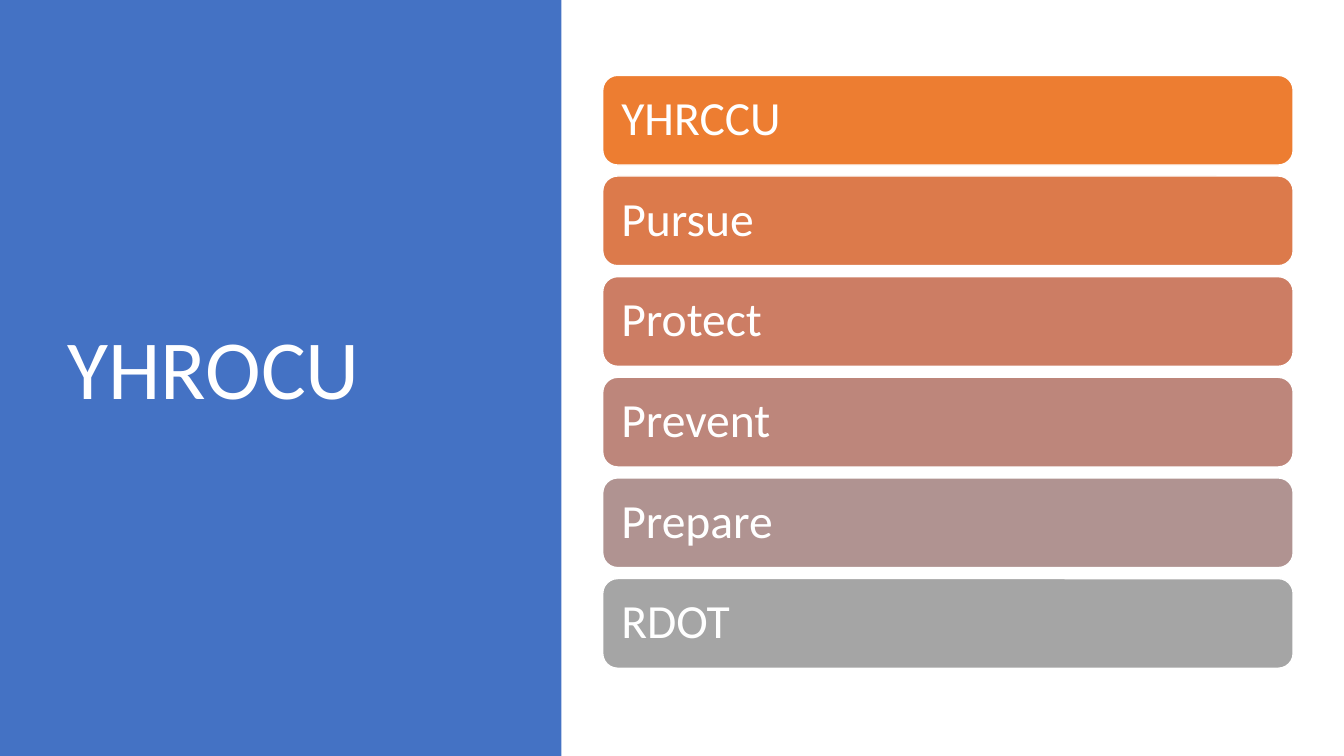
from dataclasses import dataclass

from pptx import Presentation
from pptx.dml.color import RGBColor
from pptx.enum.shapes import MSO_SHAPE
from pptx.enum.text import MSO_ANCHOR, PP_ALIGN
from pptx.util import Cm, Pt

RECT = MSO_SHAPE.RECTANGLE
ROUND_RECT = MSO_SHAPE.ROUNDED_RECTANGLE
MIDDLE = MSO_ANCHOR.MIDDLE
LEFT = PP_ALIGN.LEFT


@dataclass(frozen=True)
class Theme:
    font: str = "Calibri"
    title_size: int = 60
    bar_size: int = 34
    line_width: int = 1
    panel: str = "4472C4"
    white: str = "FFFFFF"
    bars: tuple = ("ED7D31", "DC7A4B", "CC7D64", "BD867B", "B09391", "A5A5A5")


THEME = Theme()
TITLE = "YHROCU"
TOPICS = ("YHRCCU", "Pursue", "Protect", "Prevent", "Prepare", "RDOT")


def rgb(color):
    return RGBColor.from_string(color)


def set_text(sp, text, size, inset):
    tf = sp.text_frame
    tf.word_wrap = True
    tf.vertical_anchor = MIDDLE
    tf.margin_left = tf.margin_right = inset
    p = tf.paragraphs[0]
    p.text = text
    p.alignment = LEFT
    p.line_spacing = 0.9
    p.font.name = THEME.font
    p.font.size = Pt(size)
    p.font.color.rgb = rgb(THEME.white)


def add_block(s, kind, box, color):
    sp = s.shapes.add_shape(kind, *box)
    sp.shadow.inherit = False
    sp.fill.solid()
    sp.fill.fore_color.rgb = rgb(color)
    return sp


def add_title_panel(s, left, top, width, height):
    panel = add_block(s, RECT, (left, top, width, height), THEME.panel)
    panel.line.fill.background()
    title = s.shapes.add_textbox(
        left + Cm(1.45), top + Cm(1.73), width - Cm(3.58), height - Cm(3.76)
    )
    set_text(title, TITLE, THEME.title_size, Cm(0.25))


def add_topic_bars(s, left, top, width, height):
    bar_height = Cm(2.26)
    pitch = (height - bar_height) / (len(TOPICS) - 1)
    for i, (topic, color) in enumerate(zip(TOPICS, THEME.bars)):
        box = (left, round(top + i * pitch), width, bar_height)
        bar = add_block(s, ROUND_RECT, box, color)
        bar.line.color.rgb = rgb(THEME.white)
        bar.line.width = Pt(THEME.line_width)
        set_text(bar, topic, THEME.bar_size, Cm(0.36))


def main():
    prs = Presentation()
    prs.slide_width = Cm(33.87)
    prs.slide_height = Cm(19.05)
    s = prs.slides.add_slide(prs.slide_layouts[6])
    add_title_panel(s, 0, 0, Cm(14.15), prs.slide_height)
    add_topic_bars(s, Cm(15.19), Cm(1.9), Cm(17.4), Cm(14.94))
    prs.save("out.pptx")


if __name__ == "__main__":
    main()
